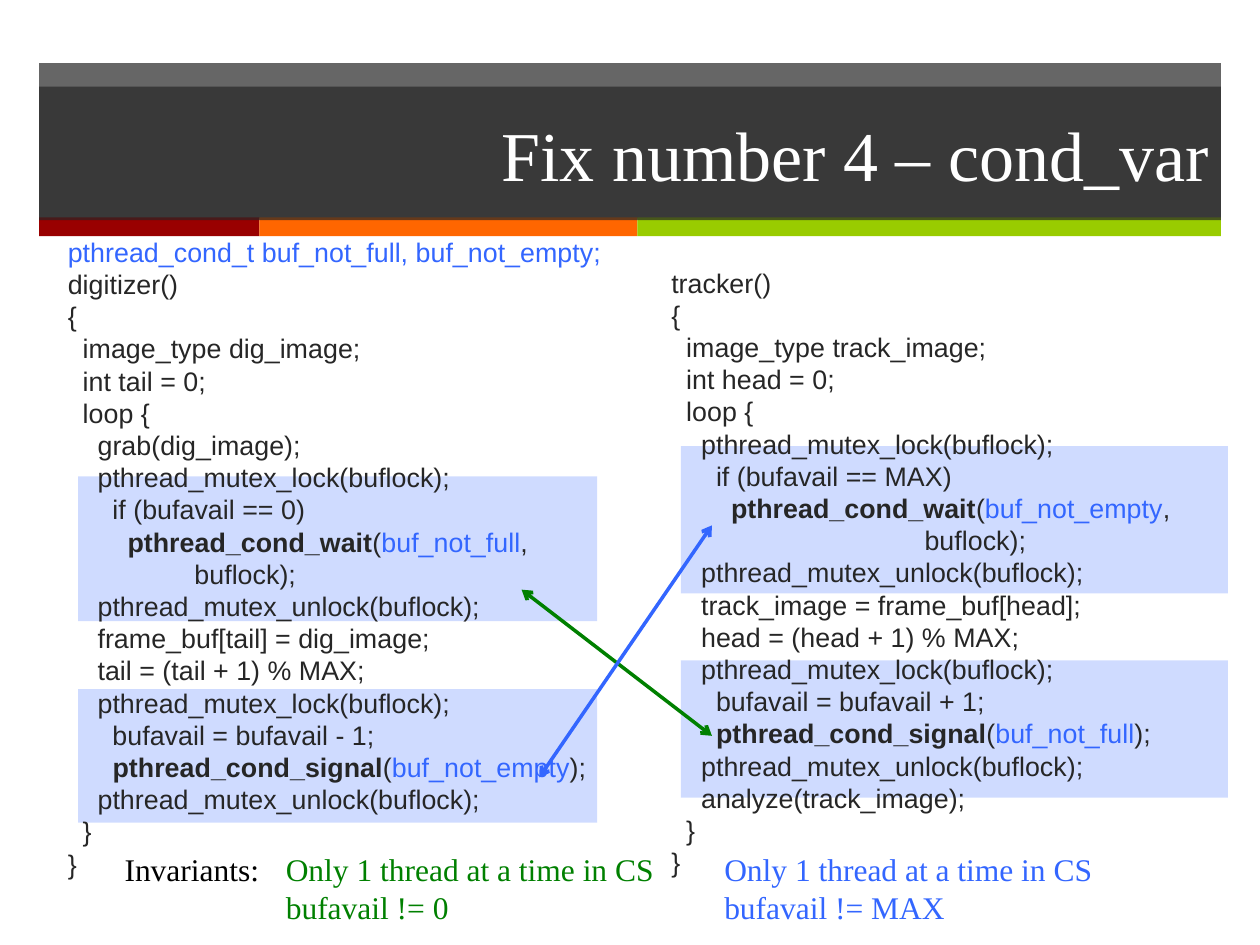
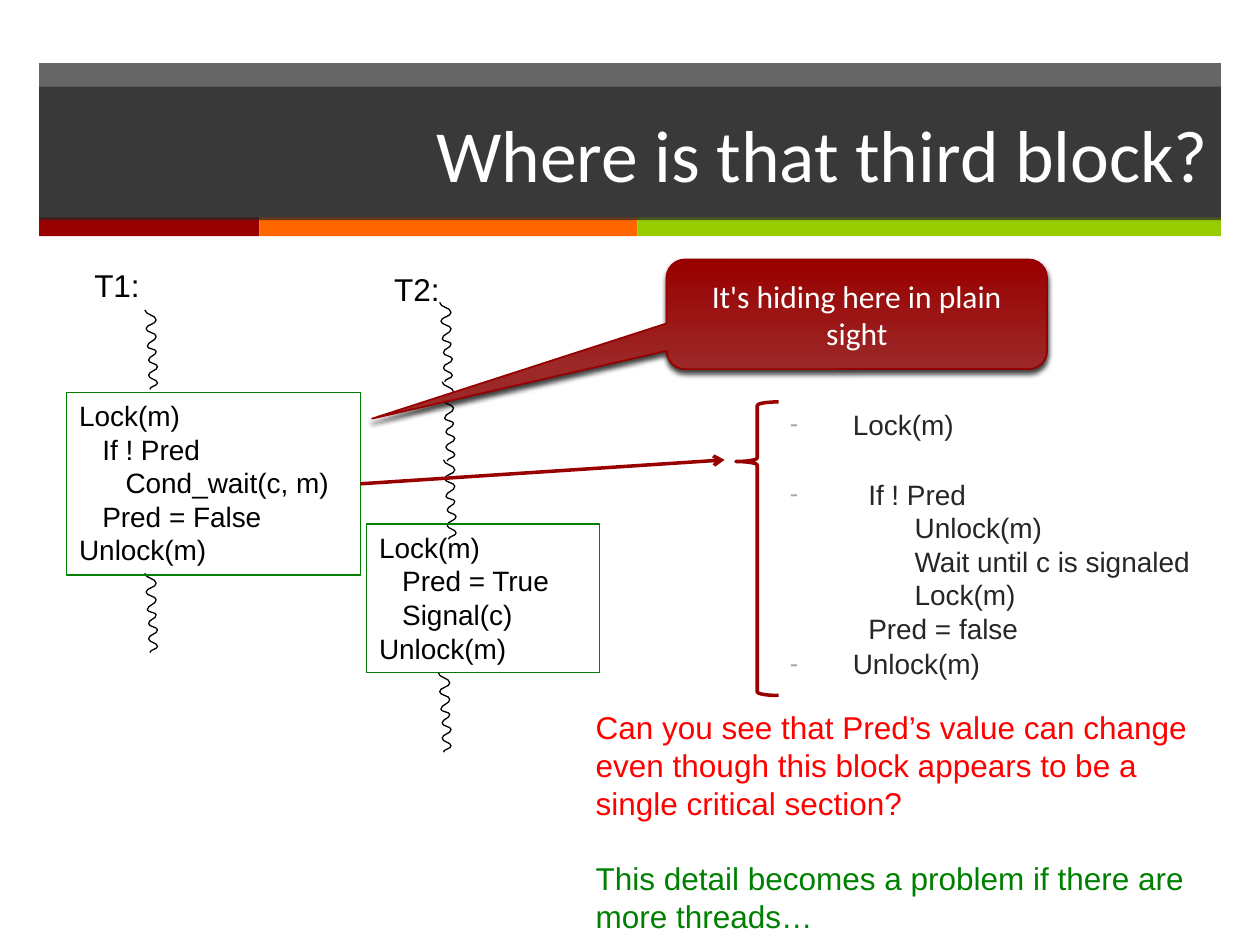
from lxml.etree import SubElement
from pptx import Presentation
from pptx.dml.color import RGBColor
from pptx.enum.shapes import MSO_CONNECTOR as Connector, MSO_SHAPE as Shape
from pptx.enum.text import MSO_ANCHOR as Anchor, PP_ALIGN as Align
from pptx.oxml.ns import qn
from pptx.util import Emu, Inches, Pt

# Slide grid: 100 columns by 75 rows of square cells
SLIDE_WIDTH, SLIDE_HEIGHT = Inches(10), Inches(7.5)
CELL = SLIDE_WIDTH / 100

# Shared colours and type
DARK, WHITE, BLACK, GREY = "262626", "FFFFFF", "000000", "A6A6A6"
CRIMSON, ORANGE, LIME = "990000", "FF6600", "99CC00"
BLUE, GREEN, RED = "3366FF", "008000", "FF0000"
SANS, SERIF, HUMANIST = "Arial", "Times New Roman", "Calibri"
LEADING = 1.2
CODE_SIZE = 15.3

# Pieces of code that stand out; "|" separates the pieces of a line
BOLD_CODE = {"pthread_cond_wait", "pthread_cond_signal"}
BLUE_CODE = {"buf_not_full", "buf_not_empty",
             "pthread_cond_t buf_not_full, buf_not_empty;"}

# "\v" breaks a line inside its paragraph
DIGITIZER = """pthread_cond_t buf_not_full, buf_not_empty;
digitizer()
{
  image_type dig_image;
  int tail = 0;
  loop {
    grab(dig_image);
    pthread_mutex_lock(buflock);
      if (bufavail == 0)
        |pthread_cond_wait|(|buf_not_full|,|\v|                 buflock);
    pthread_mutex_unlock(buflock);
    frame_buf[tail] = dig_image;
    tail = (tail + 1) % MAX;
    pthread_mutex_lock(buflock);
      bufavail = bufavail - 1;
      |pthread_cond_signal|(|buf_not_empty|);
    pthread_mutex_unlock(buflock);
  }
}"""
TRACKER = """tracker()
{
  image_type track_image;
  int head = 0;
  loop {
    pthread_mutex_lock(buflock);
      if (bufavail == MAX)
        |pthread_cond_wait|(|buf_not_empty|,|\v|                                  buflock);
    pthread_mutex_unlock(buflock);
    track_image = frame_buf[head];
    head = (head + 1) % MAX;
    pthread_mutex_lock(buflock);
      bufavail = bufavail + 1;
      |pthread_cond_signal|(|buf_not_full|);
    pthread_mutex_unlock(buflock);
    analyze(track_image);
  }
}"""
T1_CODE = """Lock(m)
   If ! Pred\v      Cond_wait(c, m)
   Pred = False
Unlock(m)"""
T2_CODE = """Lock(m)
   Pred = True
   Signal(c)
Unlock(m)"""

# Code of each bullet, with its space before in points
EXPANDED_WAIT = [
    ("Lock(m)", 0),
    ("  If ! Pred\v        Unlock(m)\v        Wait until c is signaled"
     "\v        Lock(m)\v  Pred = false", 20.7),
    ("Unlock(m)", 1),
]

# Turning points of a thread squiggle, in cells from its start
SQUIGGLE = [(0, 0), (0.9, 0.8), (0.1, 1.5), (0.9, 2.1), (0.2, 2.9), (0.9, 3.3),
            (0.3, 4), (1, 4.5), (0.3, 5.2), (1, 5.8), (0.4, 6.3)]


def cells(*lengths):
    return [Emu(round(length * CELL)) for length in lengths]


def colour(code):
    return RGBColor.from_string(code)


def set_alpha(colour_element, percent):
    SubElement(colour_element, qn("a:alpha"), val=str(percent * 1000))


def style_font(font, name, size, code):
    font.name, font.size = name, Pt(size)
    font.color.rgb = colour(code)


def style_paragraph(para, name, size, code, align=Align.LEFT):
    para.alignment = align
    para.line_spacing = 1.0 if name == HUMANIST else Pt(round(size * LEADING, 1))
    para.space_before = para.space_after = Pt(0)
    for span in para.runs:
        style_font(span.font, name, size, code)


def add_block(page, kind, place, fill=None, alpha=None, line=None, width=0.75):
    block = page.shapes.add_shape(kind, *cells(*place))
    block.shadow.inherit = False
    if fill:
        block.fill.solid()
        block.fill.fore_color.rgb = colour(fill)
        if alpha:
            set_alpha(block._element.spPr.find(".//" + qn("a:srgbClr")), alpha)
    else:
        block.fill.background()
    if line:
        block.line.color.rgb = colour(line)
        block.line.width = Pt(width)
    else:
        block.line.fill.background()
    return block


def write_lines(box, text, name, size, code, align=Align.LEFT, anchor=Anchor.TOP):
    frame = box.text_frame
    frame.word_wrap = True
    frame.vertical_anchor = anchor
    frame.text = text
    for para in frame.paragraphs:
        style_paragraph(para, name, size, code, align)
    return frame


def add_text(page, place, text, name, size, code):
    box = page.shapes.add_textbox(*cells(*place))
    return write_lines(box, text, name, size, code)


def add_code(page, place, listing):
    frame = page.shapes.add_textbox(*cells(*place)).text_frame
    frame.word_wrap = True
    for number, line in enumerate(listing.split("\n")):
        para = frame.add_paragraph() if number else frame.paragraphs[0]
        for piece in line.split("|"):
            if piece == "\v":
                para.add_line_break()
            else:
                para.add_run().text = piece
        style_paragraph(para, SANS, CODE_SIZE, DARK)
        for span in para.runs:
            if span.text in BOLD_CODE:
                span.font.bold = True
            if span.text in BLUE_CODE:
                span.font.color.rgb = colour(BLUE)


def add_arrow(page, start, end, code, both_ends=False):
    arrow = page.shapes.add_connector(Connector.STRAIGHT, *cells(*start, *end))
    arrow.line.color.rgb = colour(code)
    arrow.line.width = Pt(2)
    outline = arrow.line._get_or_add_ln()
    for tag in ("a:headEnd", "a:tailEnd") if both_ends else ("a:tailEnd",):
        SubElement(outline, qn(tag), type="arrow")
    SubElement(arrow._element.spPr, qn("a:effectLst"))


def round_corners(outline):
    """Turn each straight segment of a freeform into an S-shaped curve."""
    ends = [(int(point.get("x")), int(point.get("y")))
            for point in outline.iter(qn("a:pt"))]
    segments = list(outline.iter(qn("a:lnTo")))
    for segment, (x1, y1), (x2, y2) in zip(segments, ends, ends[1:]):
        middle = (y1 + y2) // 2
        segment.tag = qn("a:cubicBezTo")
        for point in list(segment):
            segment.remove(point)
        for x, y in ((x1, middle), (x2, middle), (x2, y2)):
            SubElement(segment, qn("a:pt"), x=str(x), y=str(y))


def add_squiggle(page, left, top):
    points = [cells(left + x, top + y) for x, y in SQUIGGLE]
    builder = page.shapes.build_freeform(*points[0])
    builder.add_line_segments(points[1:], close=False)
    thread = builder.convert_to_shape()
    round_corners(thread._element.spPr)
    thread.shadow.inherit = False
    thread.fill.background()
    thread.line.color.rgb = colour(BLACK)
    thread.line.width = Pt(0.75)


def add_bullet(properties, mark):
    properties.set("marL", str(Inches(0.5)))
    properties.set("indent", str(-Inches(0.5)))
    bullet_colour = SubElement(properties, qn("a:buClr"))
    SubElement(bullet_colour, qn("a:srgbClr"), val=GREY)
    SubElement(properties, qn("a:buSzPct"), val="90000")
    SubElement(properties, qn("a:buFont"), typeface=SANS)
    SubElement(properties, qn("a:buChar"), char=mark)


def add_outline(page, place, items):
    text = "\n".join(code for code, _ in items)
    frame = add_text(page, place, text, SANS, 16, DARK)
    for para, (_, before) in zip(frame.paragraphs, items):
        para.space_before = Pt(before)
        add_bullet(para._p.get_or_add_pPr(), "-")


def add_callout(page, place, text):
    callout = add_block(page, Shape.ROUNDED_RECTANGULAR_CALLOUT, place,
                        line="960000", width=1)
    for number, value in enumerate((-1.274, 0.952, 0.167)):
        callout.adjustments[number] = value
    callout.fill.gradient()
    callout.fill.gradient_angle = 90
    for stop, code in zip(callout.fill.gradient_stops, ("9D2828", CRIMSON)):
        stop.color.rgb = colour(code)
    effects = callout._element.spPr.find(qn("a:effectLst"))
    shadow = SubElement(effects, qn("a:outerShdw"), blurRad=str(Pt(3)),
                        dist=str(Pt(2)), dir=str(110 * 60000), rotWithShape="0")
    set_alpha(SubElement(shadow, qn("a:srgbClr"), val=BLACK), 75)
    write_lines(callout, text, HUMANIST, 18, WHITE, Align.CENTER, Anchor.MIDDLE)


def add_page(deck, title, font, size):
    page = deck.slides.add_slide(deck.slide_layouts[6])
    # Dark band with its coloured strip
    add_block(page, Shape.RECTANGLE, (3.1, 5, 93.8, 12.35), DARK, 70)
    left = 3.1
    for width, code in ((17.5, CRIMSON), (30, ORANGE), (46.3, LIME)):
        add_block(page, Shape.RECTANGLE, (left, 17.25, width, 1.5), code)
        left += width
    # Title on a second, overlapping band
    band = add_block(page, Shape.RECTANGLE, (3.1, 6.87, 93.8, 10.6), DARK, 70)
    frame = write_lines(band, title, font, size, WHITE, Align.RIGHT, Anchor.MIDDLE)
    frame.paragraphs[0].line_spacing = 1.0
    return page


def add_condition_page(deck):
    page = add_page(deck, "Fix number 4 – cond_var", SERIF, 40)
    # Critical sections
    for place in ((6.2, 54.7, 41.2, 10.6), (6.2, 37.8, 41.2, 11.5),
                  (54.05, 35.4, 43.4, 11.7), (54.05, 52.4, 43.4, 10.9)):
        add_block(page, Shape.RECTANGLE, place, BLUE, 23)
    # Code, the right column one line lower
    code_line = CODE_SIZE * LEADING / 7.2
    add_code(page, (4.4, 18.2, 45.3, 54.1), DIGITIZER)
    add_code(page, (52.3, 18.1 + code_line, 47.7, 54.1 - code_line), TRACKER)
    # Invariants
    add_text(page, (8.9, 67, 12.8, 4), "Invariants:", SERIF, 18, BLACK)
    for left, limit, code in ((21.7, "0", GREEN), (56.5, "MAX", BLUE)):
        add_text(page, (left, 67, 32.4, 7.1),
                 f"Only 1 thread at a time in CS\nbufavail != {limit}",
                 SERIF, 18, code)
    # Each wait with its signal
    add_arrow(page, (41.4, 46.8), (56.5, 58.4), GREEN, both_ends=True)
    add_arrow(page, (56.5, 41.7), (42.8, 61.7), BLUE, both_ends=True)


def add_third_block_page(deck):
    page = add_page(deck, "Where is that third block?", HUMANIST, 42)
    # Threads and their critical sections
    for start in ((11.5, 24.6), (11.5, 45.5), (34.9, 24), (35.1, 30.3),
                  (35.2, 36.5), (34.8, 53.4)):
        add_squiggle(page, *start)
    for name, left, top in (("T1:", 6.5, 20.6), ("T2:", 30.3, 20.9)):
        add_text(page, (left, top, 12.6, 4), name, SANS, 18, BLACK)
    for place, code in (((5.3, 31.15, 23.3, 14.5), T1_CODE),
                        ((29.1, 41.6, 18.5, 11.8), T2_CODE)):
        section = add_block(page, Shape.RECTANGLE, place, line=GREEN)
        write_lines(section, code, SANS, 16, BLACK)
    # Question and remark
    frame = add_text(page, (46.3, 55.7, 50.3, 19.2),
                     "Can you see that Pred’s value can change even though this "
                     "block appears to be a single critical section?\n"
                     "This detail becomes a problem if there are more threads…",
                     SANS, 18, RED)
    remark = frame.paragraphs[1]
    style_paragraph(remark, SANS, 18, GREEN)
    remark.space_before = Pt(18 * LEADING)
    # What the wait really does
    add_outline(page, (61.7, 31.85, 35.2, 23.3), EXPANDED_WAIT)
    add_callout(page, (52.9, 20.6, 30.2, 8.7), "It's hiding here in plain sight")
    add_arrow(page, (28.6, 38.4), (57.5, 36.5), CRIMSON)
    brace = add_block(page, Shape.LEFT_BRACE, (58.4, 31.9, 3.4, 23.3),
                      line=CRIMSON, width=2)
    brace.adjustments[0], brace.adjustments[1] = 0.083, 0.203


def main():
    deck = Presentation()
    deck.slide_width, deck.slide_height = SLIDE_WIDTH, SLIDE_HEIGHT
    add_condition_page(deck)
    add_third_block_page(deck)
    deck.save("out.pptx")


if __name__ == "__main__":
    main()
